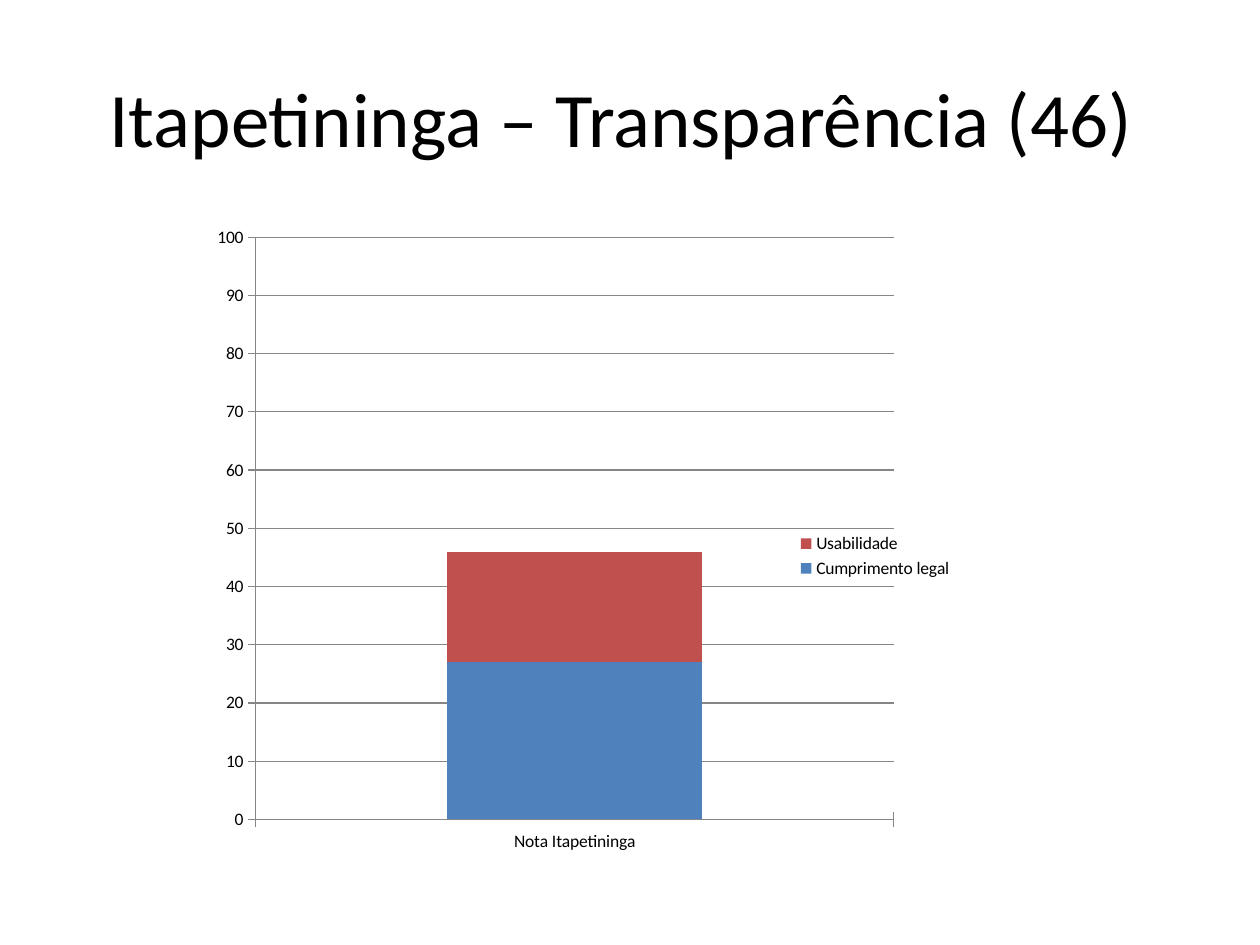
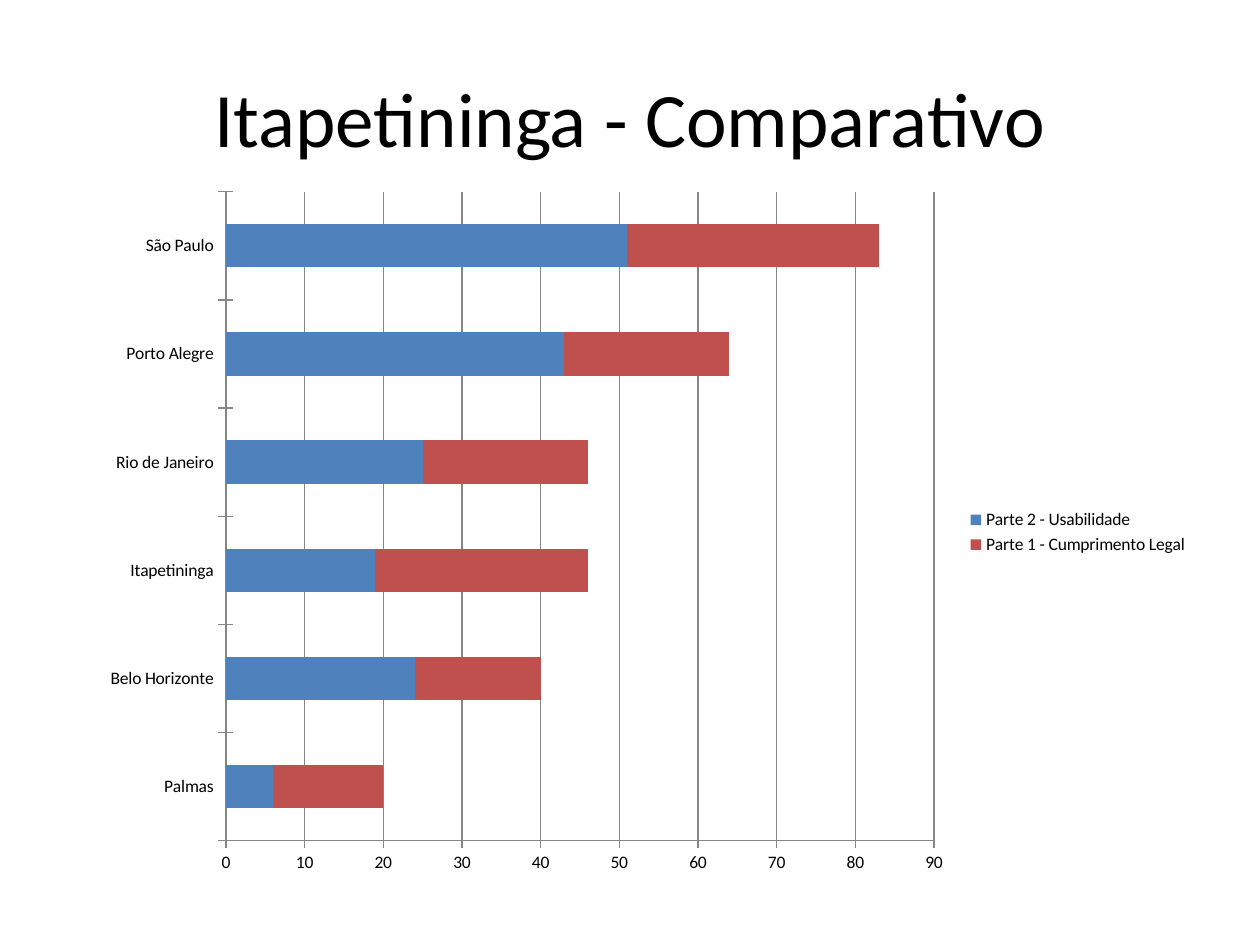
from dataclasses import dataclass

from lxml import etree
from pptx import Presentation
from pptx.chart.data import CategoryChartData as Data
from pptx.dml.color import RGBColor as Rgb
from pptx.enum.chart import XL_CHART_TYPE as Kind, XL_LEGEND_POSITION as Side, XL_TICK_MARK as Tick
from pptx.enum.text import MSO_ANCHOR as Anchor, PP_ALIGN as Align
from pptx.oxml.ns import qn
from pptx.util import Cm, Pt


@dataclass(frozen=True)
class Theme:
    font: str = "Calibri"
    text: str = "000000"
    grid: str = "868686"
    bars: tuple = ("4F81BD", "C0504D")
    head: int = 44
    label: int = 10
    line: float = 0.75


class Deck:
    """Holds the theme and the current slide, and adds titles and stacked charts."""

    def __init__(self, theme):
        self.theme = theme
        self.file = Presentation()
        self.file.slide_width, self.file.slide_height = Cm(25.4), Cm(19.05)
        self.page = None

    def style(self, font, size):
        font.name = self.theme.font
        font.size = Pt(size)
        font.color.rgb = Rgb.from_string(self.theme.text)

    def rule(self, line):
        line.width = Pt(self.theme.line)
        line.color.rgb = Rgb.from_string(self.theme.grid)

    def slide(self, title):
        self.page = self.file.slides.add_slide(self.file.slide_layouts[6])
        box = self.page.shapes.add_textbox(Cm(1.27), Cm(0.76), Cm(22.86), Cm(3.18))
        frame = box.text_frame
        frame.word_wrap = True
        frame.vertical_anchor = Anchor.MIDDLE
        head = frame.paragraphs[0]
        head.text = title
        head.alignment = Align.CENTER
        self.style(head.font, self.theme.head)

    def chart(self, kind, place, names, series, top=None, inner=None):
        data = Data()
        data.categories = names
        for name, values in series.items():
            data.add_series(name, values)
        chart = self.page.shapes.add_chart(kind, *map(Cm, place), data).chart
        chart.has_title = False
        self.style(chart.font, self.theme.label)
        chart.has_legend = True
        chart.legend.position = Side.RIGHT
        chart.legend.include_in_layout = False

        plot = chart.plots[0]
        plot.gap_width, plot.overlap = 150, 100
        plot.vary_by_categories = False
        for bar, color in zip(plot.series, self.theme.bars):
            bar.format.fill.solid()
            bar.format.fill.fore_color.rgb = Rgb.from_string(color)

        scale = chart.value_axis
        for axis in (chart.category_axis, scale):
            axis.major_tick_mark = Tick.CROSS
            self.rule(axis.format.line)
        scale.has_major_gridlines = True
        self.rule(scale.major_gridlines.format.line)
        scale.minimum_scale, scale.major_unit = 0, 10
        if top:
            scale.maximum_scale = top
        if inner:
            self.place(chart, inner)

    def place(self, chart, inner):
        area = chart.element.find(".//" + qn("c:plotArea"))
        old = area.find(qn("c:layout"))
        if old is not None:
            area.remove(old)
        layout = etree.Element(qn("c:layout"))
        area.insert(0, layout)
        manual = etree.SubElement(layout, qn("c:manualLayout"))
        parts = [("layoutTarget", "inner"), ("xMode", "edge"), ("yMode", "edge")]
        for tag, value in parts + list(zip("xywh", inner)):
            etree.SubElement(manual, qn("c:" + tag), val=str(value))


def main():
    deck = Deck(Theme())

    deck.slide("Itapetininga – Transparência (46) ")
    deck.chart(
        Kind.COLUMN_STACKED,
        (1.4, 4.57, 18.06, 13.28),
        ["Nota Itapetininga"],
        {"Cumprimento legal": [27], "Usabilidade": [19]},
        top=100,
        inner=(0.208, 0.016, 0.712, 0.884),
    )

    deck.slide("Itapetininga - Comparativo")
    deck.chart(
        Kind.BAR_STACKED,
        (1.78, 3.58, 22.43, 14.3),
        ["Palmas", "Belo Horizonte", "Itapetininga", "Rio de Janeiro", "Porto Alegre", "São Paulo"],
        {
            "Parte 2 - Usabilidade": [6, 24, 19, 25, 43, 51],
            "Parte 1 - Cumprimento Legal": [14, 16, 27, 21, 21, 32],
        },
    )

    deck.file.save("out.pptx")


if __name__ == "__main__":
    main()
